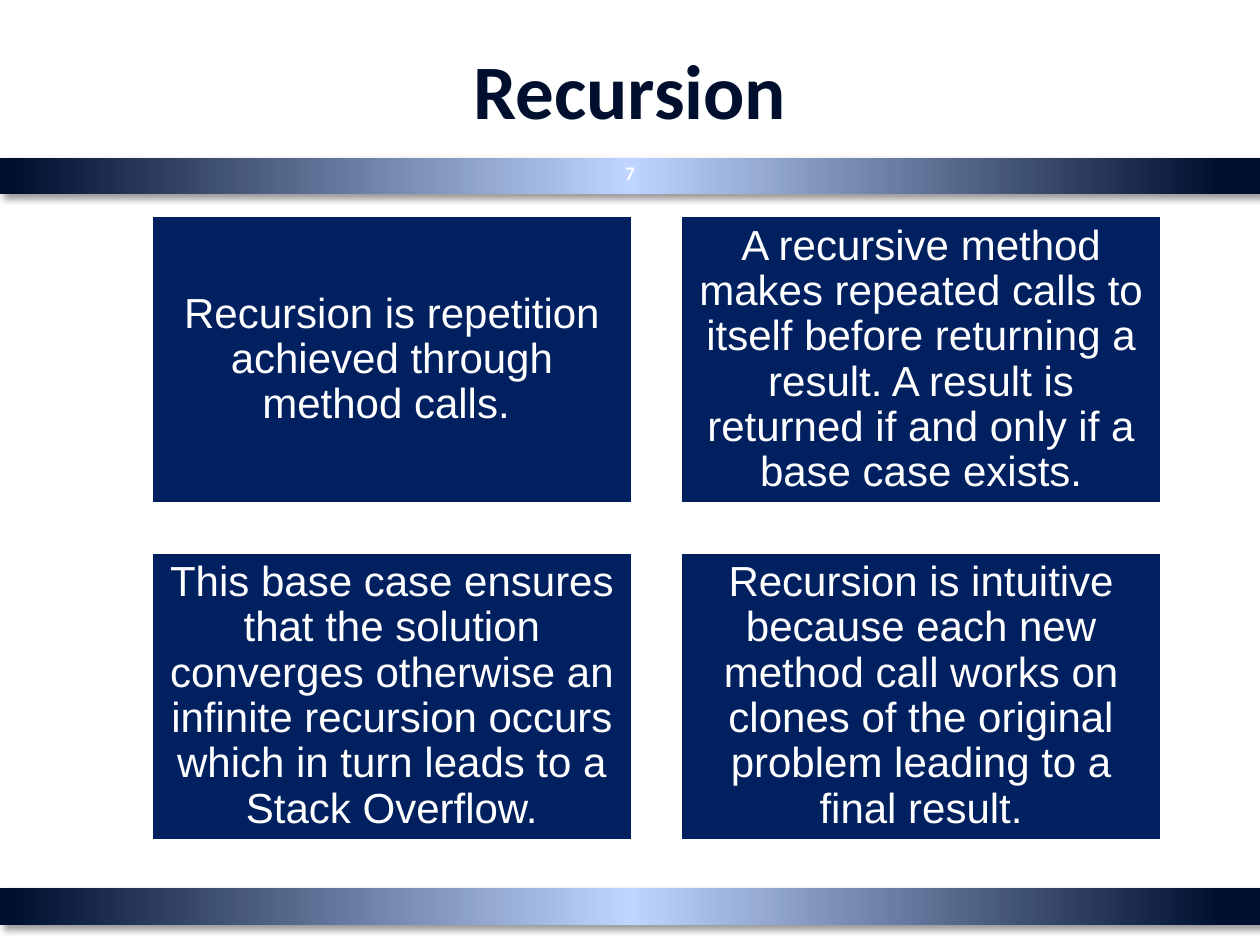
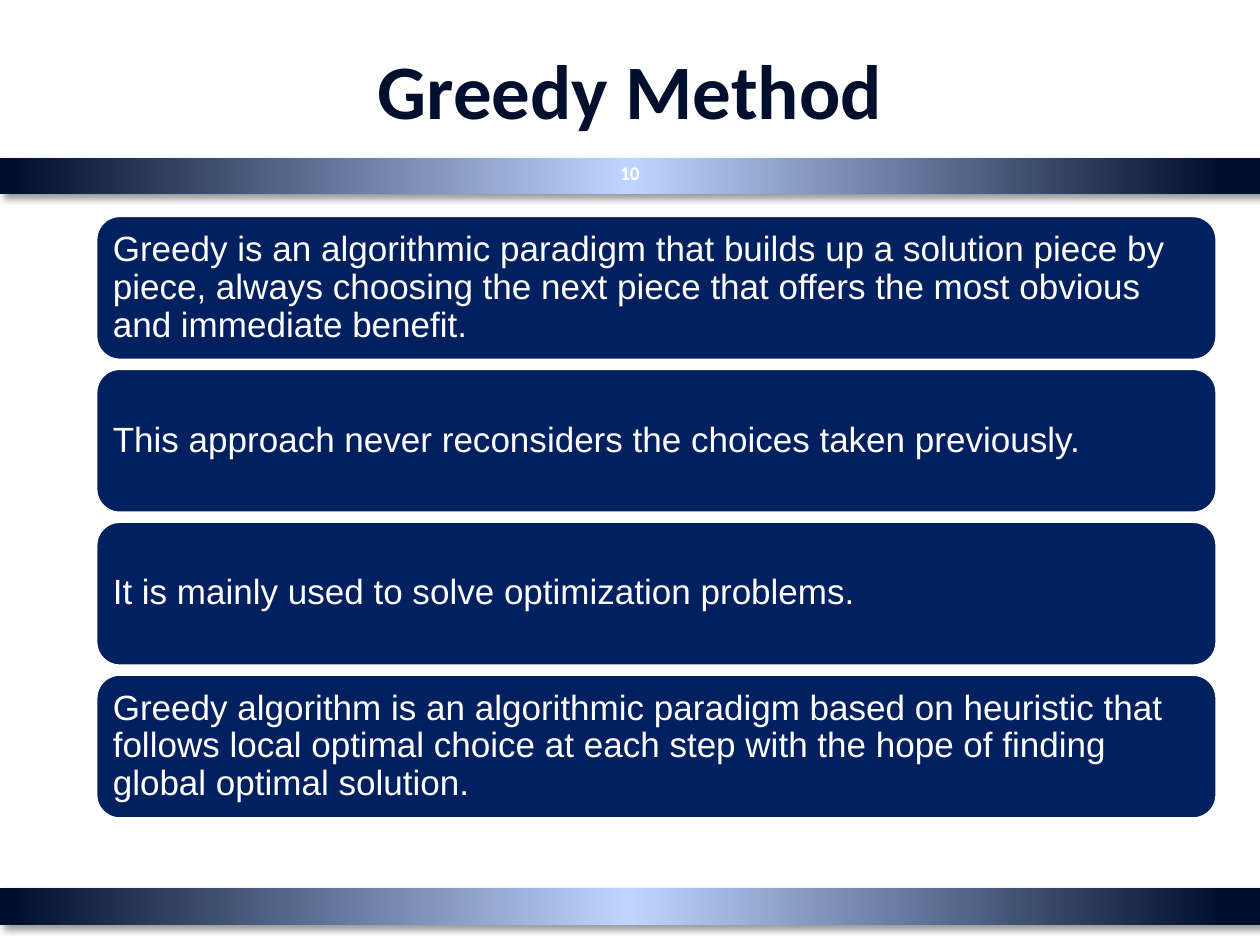
from lxml import etree
from pptx import Presentation
from pptx.dml.color import RGBColor
from pptx.enum.shapes import MSO_SHAPE
from pptx.enum.text import MSO_ANCHOR, PP_ALIGN
from pptx.oxml import parse_xml
from pptx.oxml.ns import nsdecls, qn
from pptx.util import Inches, Pt

RECT = MSO_SHAPE.RECTANGLE
ROUND = MSO_SHAPE.ROUNDED_RECTANGLE
MIDDLE = MSO_ANCHOR.MIDDLE
LEFT = PP_ALIGN.LEFT
CENTER = PP_ALIGN.CENTER

COLORS = {"dark": "000F2E", "glow": "BFD5FF", "card": "002060",
          "white": "FFFFFF", "black": "000000"}
HEAD = "Calibri"
BODY = "Arial"
STOPS = [(0, "dark"), (3, "dark"), (50, "glow"), (99, "dark"), (100, "dark")]
WIDTH, HEIGHT = 10, 7.5
BANDS = [(0, 7.05, WIDTH, 0.29), (0, 1.25, WIDTH, 0.29)]
TITLE = (0.5, 0.08, 9, 1.25)
NUMBER = (4.79, 1.17, 0.42, 0.4)

RECURSION = [
    "Recursion is repetition achieved through method calls. ",
    "A recursive method makes repeated calls to itself before returning "
    "a result. A result is returned if and only if a base case exists.",
    "This base case ensures that the solution converges otherwise an "
    "infinite recursion occurs which in turn leads to a Stack Overflow.",
    "Recursion is intuitive because each new method call works on clones "
    "of the original problem leading to a final result.",
]
GREEDY = [
    "Greedy is an algorithmic paradigm that builds up a solution piece by "
    "piece, always choosing the next piece that offers the most obvious "
    "and immediate benefit.",
    "This approach never reconsiders the choices taken previously.",
    "It is mainly used to solve optimization problems.",
    "Greedy algorithm is an algorithmic paradigm based on heuristic that "
    "follows local optimal choice at each step with the hope of finding "
    "global optimal solution.",
]


def color(name):
    return RGBColor.from_string(COLORS[name])


def place(box):
    return [Inches(side) for side in box]


def write(shape, text, size, font, tone, align=CENTER, bold=False,
          pad=(0.1, 0.05), lead=1.0):
    frame = shape.text_frame
    frame.word_wrap = True
    frame.vertical_anchor = MIDDLE
    frame.margin_left = frame.margin_right = Inches(pad[0])
    frame.margin_top = frame.margin_bottom = Inches(pad[1])
    para = frame.paragraphs[0]
    para.alignment = align
    para.line_spacing = lead
    run = para.add_run()
    run.text = text
    run.font.size = Pt(size)
    run.font.name = font
    run.font.bold = bold
    run.font.color.rgb = color(tone)


def add_band(slide, box):
    band = slide.shapes.add_shape(RECT, *place(box))
    band.line.fill.background()
    band.shadow.inherit = False
    props = band.fill._xPr
    stops = "".join(
        f'<a:gs pos="{pos * 1000}"><a:srgbClr val="{COLORS[name]}"/></a:gs>'
        for pos, name in STOPS)
    props.find(qn("a:ln")).addprevious(parse_xml(
        f'<a:gradFill {nsdecls("a")} rotWithShape="1"><a:gsLst>{stops}'
        '</a:gsLst><a:lin ang="10800000" scaled="0"/></a:gradFill>'))
    shade = etree.SubElement(
        props.find(qn("a:effectLst")), qn("a:outerShdw"),
        blurRad=str(Pt(4)), dist=str(Pt(3)), dir=str(45 * 60000),
        algn="tl", rotWithShape="0")
    tint = etree.SubElement(shade, qn("a:srgbClr"), val=COLORS["black"])
    etree.SubElement(tint, qn("a:alpha"), val="40000")


def add_frame(deck, title, number):
    slide = deck.slides.add_slide(deck.slide_layouts[6])
    for box in BANDS:
        add_band(slide, box)
    write(slide.shapes.add_textbox(*place(TITLE)), title, 44, HEAD, "dark",
          bold=True)
    write(slide.shapes.add_textbox(*place(NUMBER)), str(number), 11, HEAD,
          "white", bold=True)
    return slide


def add_cards(slide, box, texts, cols, card, kind, size, align, pad):
    left, top, width, height = box
    wide, tall = card
    rows = len(texts) // cols
    across = (width - wide) / max(cols - 1, 1)
    down = (height - tall) / max(rows - 1, 1)
    for index, text in enumerate(texts):
        row, col = divmod(index, cols)
        spot = (left + col * across, top + row * down, wide, tall)
        shape = slide.shapes.add_shape(kind, *place(spot))
        shape.shadow.inherit = False
        shape.fill.solid()
        shape.fill.fore_color.rgb = color("card")
        shape.line.color.rgb = color("white")
        shape.line.width = Pt(2)
        write(shape, text, size, BODY, "white", align, pad=(pad, pad),
              lead=0.9)


def main():
    deck = Presentation()
    deck.slide_width = Inches(WIDTH)
    deck.slide_height = Inches(HEIGHT)
    add_cards(add_frame(deck, "Recursion", 7), (1.2, 1.71, 8.02, 4.96),
              RECURSION, 2, (3.82, 2.29), RECT, 24, CENTER, 0.1)
    add_cards(add_frame(deck, "Greedy Method", 10), (0.76, 1.71, 8.9, 4.79),
              GREEDY, 1, (8.9, 1.15), ROUND, 20, LEFT, 0.08)
    deck.save("out.pptx")


if __name__ == "__main__":
    main()
